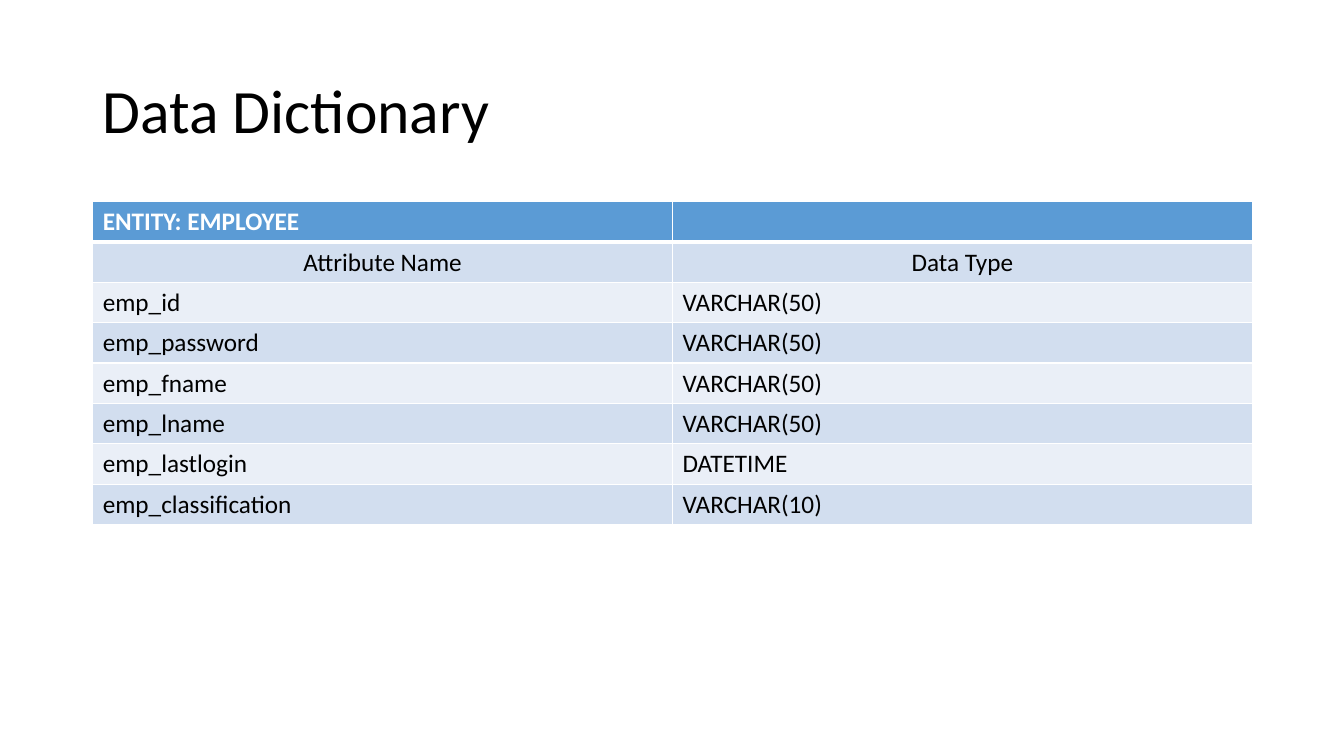
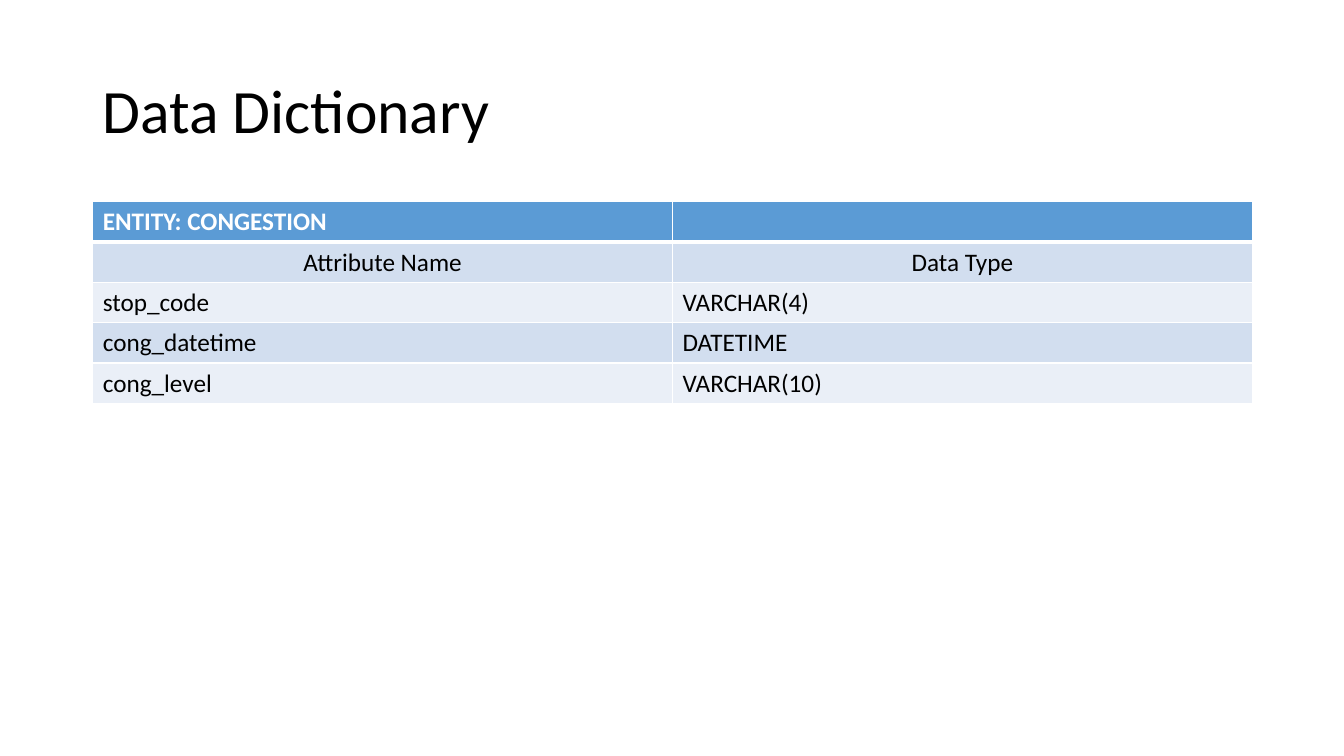
from lxml import etree
from pptx import Presentation
from pptx import util as u
from pptx.dml.color import RGBColor
from pptx.enum import text
from pptx.oxml.ns import qn


def rgb(value):
    """Turn a hex string into a colour."""
    return RGBColor.from_string(value)


class Deck:
    """Hold the shared style, the grid and the current slide."""

    FONT = "Calibri"
    INK, PAPER, HEADER = "000000", "FFFFFF", "5B9BD5"
    BANDS = ("D2DEEF", "EAEFF7")
    COLUMN, ROW = 0.46, 0.4
    LEFT, SPAN = 2, 25
    TITLE_TOP, TITLE_ROWS, TABLE_TOP = 1, 3.62, 5

    def __init__(self):
        """Start a widescreen presentation."""
        self.prs = Presentation()
        self.prs.slide_width = u.Inches(13.33)
        self.prs.slide_height = u.Inches(7.5)

    def box(self, top, rows):
        """Return the frame of a full-width block on the grid."""
        return (u.Inches(self.LEFT * self.COLUMN), u.Inches(top * self.ROW),
                u.Inches(self.SPAN * self.COLUMN), u.Inches(rows * self.ROW))

    def run(self, p, words, size, color, bold=False):
        """Add one styled run to a paragraph."""
        r = p.add_run()
        r.text = words
        r.font.name = self.FONT
        r.font.size = u.Pt(size)
        r.font.bold = bold
        r.font.color.rgb = rgb(color)

    def slide(self, title):
        """Add a slide with its title."""
        self.current = self.prs.slides.add_slide(self.prs.slide_layouts[6])
        tf = self.current.shapes.add_textbox(
            *self.box(self.TITLE_TOP, self.TITLE_ROWS)).text_frame
        tf.word_wrap = True
        tf.vertical_anchor = text.MSO_ANCHOR.MIDDLE
        p = tf.paragraphs[0]
        p.line_spacing = 0.9
        self.run(p, title, 44, self.INK)

    def borders(self, cell, top, bottom):
        """Draw the four edges of a table cell."""
        props = cell._tc.get_or_add_tcPr()
        for side, width in (("L", 1), ("R", 1), ("T", top), ("B", bottom)):
            ln = etree.SubElement(props, qn(f"a:ln{side}"), w=str(u.Pt(width)))
            fill = etree.SubElement(ln, qn("a:solidFill"))
            etree.SubElement(fill, qn("a:srgbClr"), val=self.PAPER)

    def entity(self, name, attributes):
        """Add the table that describes one entity."""
        rows = [(f"ENTITY: {name}", ""), ("Attribute Name", "Data Type"), *attributes]
        table = self.current.shapes.add_table(
            len(rows), 2, *self.box(self.TABLE_TOP, len(rows))).table
        for i, row in enumerate(rows):
            header = i == 0
            for j, words in enumerate(row):
                cell = table.cell(i, j)
                self.borders(cell, 3 if i == 1 else 1, 3 if header else 1)
                cell.fill.solid()
                cell.fill.fore_color.rgb = rgb(
                    self.HEADER if header else self.BANDS[(i - 1) % 2])
                p = cell.text_frame.paragraphs[0]
                p.font.size = u.Pt(18)
                if i == 1:
                    p.alignment = text.PP_ALIGN.CENTER
                if words:
                    self.run(p, words, 18, self.PAPER if header else self.INK, header)


ENTITIES = {
    "EMPLOYEE": [
        ("emp_id", "VARCHAR(50)"),
        ("emp_password", "VARCHAR(50)"),
        ("emp_fname", "VARCHAR(50)"),
        ("emp_lname", "VARCHAR(50)"),
        ("emp_lastlogin", "DATETIME"),
        ("emp_classification", "VARCHAR(10)"),
    ],
    "CONGESTION": [
        ("stop_code", "VARCHAR(4)"),
        ("cong_datetime", "DATETIME"),
        ("cong_level", "VARCHAR(10)"),
    ],
}


def main():
    """Build and save the data dictionary."""
    deck = Deck()
    for name, attributes in ENTITIES.items():
        deck.slide("Data Dictionary")
        deck.entity(name, attributes)
    deck.prs.save("out.pptx")


if __name__ == "__main__":
    main()
